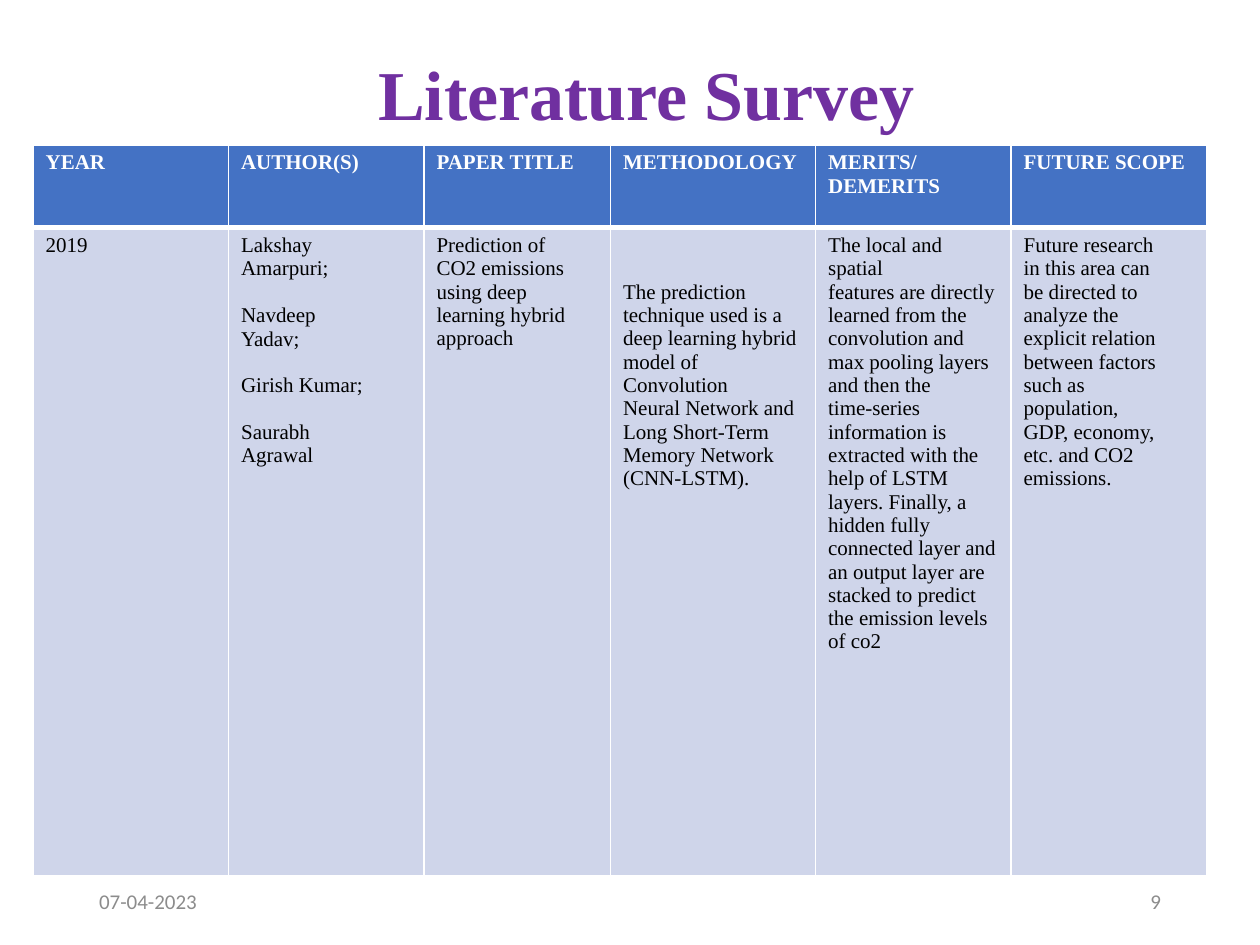
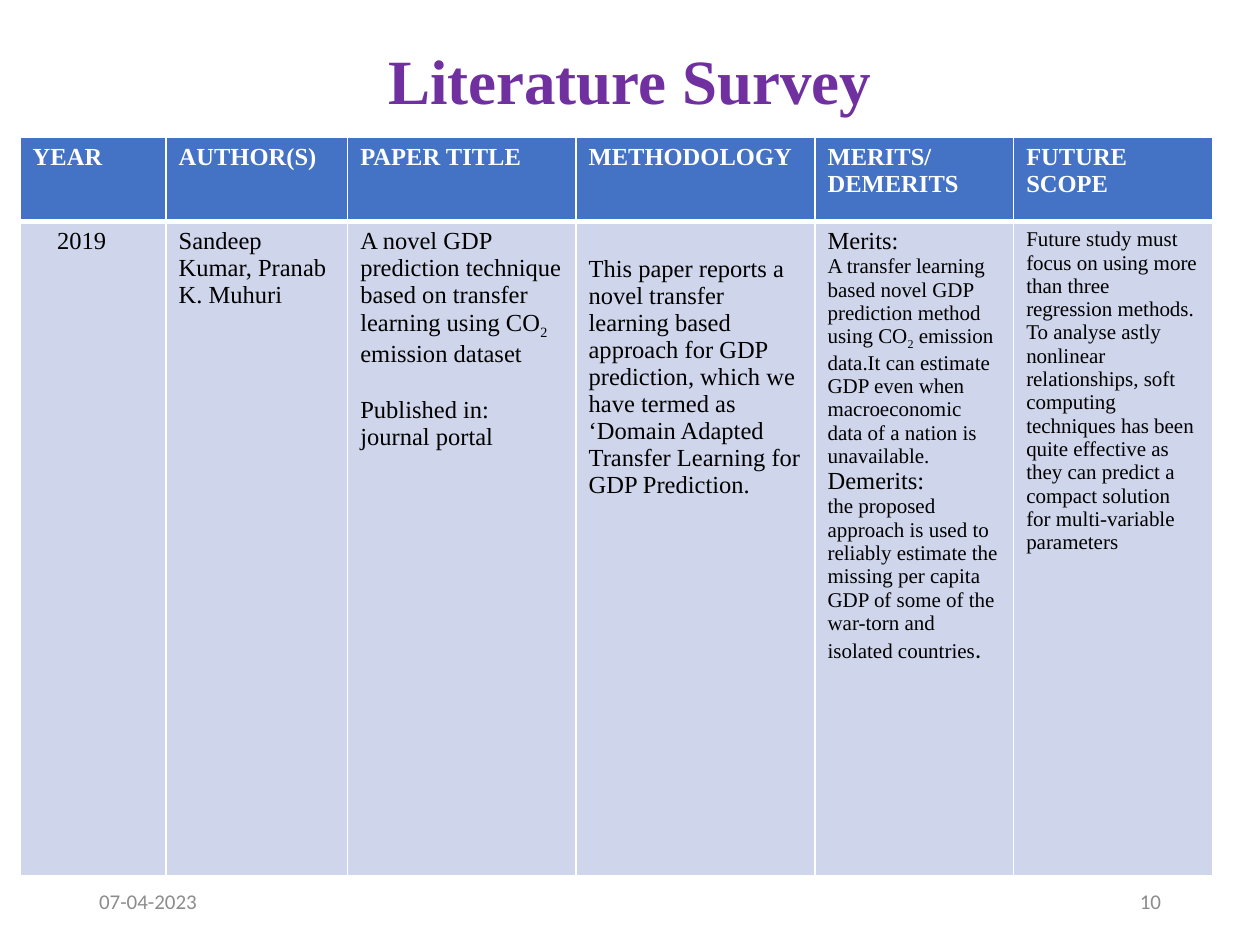
from dataclasses import dataclass

from lxml import etree
from pptx import Presentation
from pptx import util as u
from pptx.dml.color import RGBColor
from pptx.enum import text as t
from pptx.oxml import ns


@dataclass(frozen=True)
class Theme:
    serif: str = "Times New Roman"
    sans: str = "Calibri"
    title: str = "7030A0"
    footer: str = "8C8C8C"
    header: str = "4472C4"
    body: str = "CFD5EA"
    white: str = "FFFFFF"
    ink: str = "000000"
    small: int = 12
    large: int = 14
    rule: int = 1
    heavy_rule: int = 3


theme = Theme()


def write(frame, text, size=theme.small, font=theme.serif, color=theme.ink,
          bold=False, align=t.PP_ALIGN.LEFT, spacing=None, gap=13.4, join=False):
    """Each line is a paragraph, an empty line is a gap, and ₂ is a subscript."""
    pending_gap = 0
    for line in text.split("\n"):
        if not line:
            pending_gap = gap
            continue
        para = frame.paragraphs[-1]
        if para.runs and not join:
            para = frame.add_paragraph()
        para.alignment = align
        if spacing:
            para.line_spacing = spacing
        if pending_gap:
            para.space_before = u.Pt(pending_gap)
        pending_gap = 0
        for piece in line.replace("₂", "|₂|").split("|"):
            span = para.add_run()
            span.text = piece.replace("₂", "2")
            span.font.size = u.Pt(size)
            span.font.name = font
            span.font.bold = bold
            span.font.color.rgb = RGBColor.from_string(color)
            if piece == "₂":
                span.font._element.set("baseline", "-25000")


def style_cell(cell, fill, top, bottom):
    """Draw white borders round a cell, then fill it."""
    properties = cell._tc.get_or_add_tcPr()
    edges = {"lnL": theme.rule, "lnR": theme.rule, "lnT": top, "lnB": bottom}
    for edge, width in edges.items():
        line = etree.SubElement(properties, ns.qn(f"a:{edge}"), w=str(u.Pt(width)))
        paint = etree.SubElement(line, ns.qn("a:solidFill"))
        etree.SubElement(paint, ns.qn("a:srgbClr"), val=theme.white)
    cell.fill.solid()
    cell.fill.fore_color.rgb = RGBColor.from_string(fill)


headings = ["YEAR", "AUTHOR(S)", "PAPER TITLE", "METHODOLOGY",
            "MERITS/\nDEMERITS", "FUTURE SCOPE"]
large = {"size": theme.large}

# Each entry holds a list of (text, format) parts; lead and indent widen cell margins
surveys = [
    {
        "number": "9",
        "title_box": (68.4, 28.8, 601.9, 54), "title_size": 40,
        "table_at": (18.9, 82.8), "heading_size": theme.small,
        "columns": [111.7, 111.7, 106.6, 117.2, 111.7, 111.7],
        "rows": [47.3, 370.6],
        "indent": 0, "lead": 26.7,
        "entries": [
            [("2019", {})],
            [("""Lakshay
Amarpuri;

Navdeep
Yadav;

Girish Kumar;

Saurabh
Agrawal""", {})],
            [("""Prediction of
CO2 emissions
using deep
learning hybrid
approach""", {})],
            [("""The prediction
technique used is a
deep learning hybrid
model of Convolution
Neural Network and
Long Short-Term
Memory Network
(CNN-LSTM).""", {})],
            [("""The local and spatial
features are directly
learned from the
convolution and
max pooling layers
and then the
time-series
information is
extracted with the
help of LSTM
layers. Finally, a
hidden fully
connected layer and
an output layer are
stacked to predict
the emission levels of co2""", {})],
            [("""Future research
in this area can
be directed to
analyze the
explicit relation
between factors
such as
population,
GDP, economy,
etc. and CO2
emissions.""", {})],
        ],
    },
    {
        "number": "10",
        "title_box": (49.7, 26.6, 620.6, 43.2), "title_size": 36,
        "table_at": (11.5, 78.5), "heading_size": theme.large,
        "columns": [83.4, 103.8, 130.5, 136.6, 113.5, 113.5],
        "rows": [48.2, 373.7],
        "indent": 14, "lead": 15.6,
        "entries": [
            [("2019", large)],
            [("Sandeep Kumar, Pranab K. Muhuri", large)],
            [("A novel GDP prediction technique based on transfer learning "
              "using CO₂ emission dataset\n\nPublished in: journal portal",
              {"size": theme.large, "gap": 17})],
            [("This paper reports a novel transfer learning based approach for "
              "GDP prediction, which we have termed as ‘Domain Adapted "
              "Transfer Learning for GDP Prediction.", large)],
            [("Merits:", large),
             ("A transfer learning based novel GDP prediction method using "
              "CO₂ emission data.It can estimate GDP even when macroeconomic "
              "data of a nation is unavailable.", {}),
             ("Demerits:", large),
             ("the proposed approach is used to reliably estimate the missing "
              "per capita GDP of some of the war-torn and isolated countries", {}),
             (".", {"size": theme.large, "font": theme.sans, "join": True})],
            [("Future study must focus on using more than three regression "
              "methods. To analyse astly nonlinear relationships, soft computing "
              "techniques has been quite effective as they can predict a compact "
              "solution for multi-variable parameters", {})],
        ],
    },
]

deck = Presentation()
deck.slide_width, deck.slide_height = u.Pt(720), u.Pt(540)

for survey in surveys:
    page = deck.slides.add_slide(deck.slide_layouts[6])

    # Title, date and page number
    footer = {"font": theme.sans, "color": theme.footer}
    labels = [
        (survey["title_box"], "Literature Survey",
         {"size": survey["title_size"], "color": theme.title, "bold": True,
          "align": t.PP_ALIGN.CENTER, "spacing": 0.9}),
        ((49.5, 500.5, 162, 28.8), "07-04-2023", footer),
        ((508.5, 500.5, 162, 28.8), survey["number"],
         {**footer, "align": t.PP_ALIGN.RIGHT}),
    ]
    for place, label, style in labels:
        box = page.shapes.add_textbox(*map(u.Pt, place))
        box.text_frame.word_wrap = True
        box.text_frame.vertical_anchor = t.MSO_ANCHOR.MIDDLE
        write(box.text_frame, label, **style)

    # Survey table
    columns, rows = survey["columns"], survey["rows"]
    table = page.shapes.add_table(
        2, len(columns), *map(u.Pt, survey["table_at"]),
        u.Pt(sum(columns)), u.Pt(sum(rows))).table
    table.horz_banding = False
    for row, height in zip(table.rows, rows):
        row.height = u.Pt(height)

    for index, width in enumerate(columns):
        table.columns[index].width = u.Pt(width)
        heading, entry = table.cell(0, index), table.cell(1, index)
        style_cell(heading, theme.header, theme.rule, theme.heavy_rule)
        style_cell(entry, theme.body, theme.heavy_rule, theme.rule)
        write(heading.text_frame, headings[index], size=survey["heading_size"],
              color=theme.white, bold=True)
        for words, style in survey["entries"][index]:
            write(entry.text_frame, words, **style)

    # The year is indented and the methodology starts lower
    table.cell(1, 0).margin_left = u.Pt(7.2 + survey["indent"])
    table.cell(1, 3).margin_top = u.Pt(3.6 + survey["lead"])

deck.save("out.pptx")
